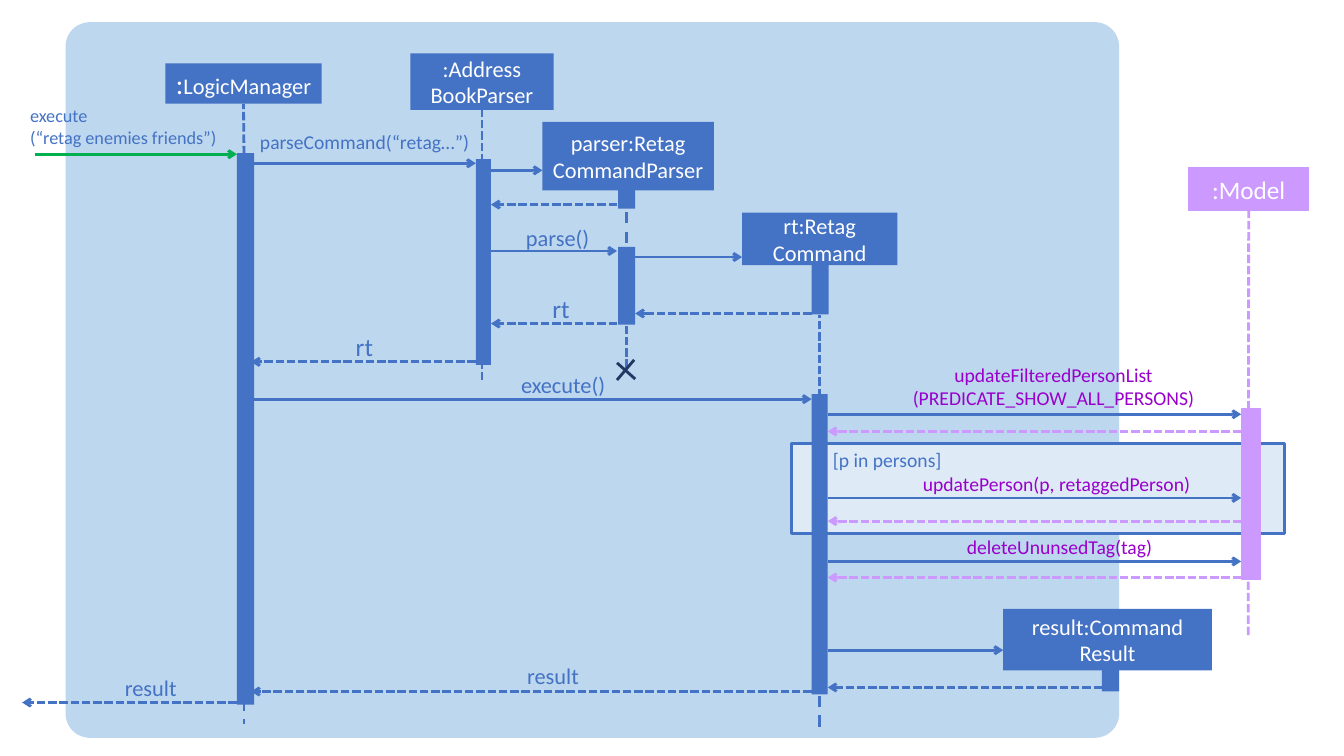
from lxml.etree import SubElement
from pptx import Presentation
from pptx.dml.color import RGBColor
from pptx.enum.dml import MSO_LINE
from pptx.enum.shapes import MSO_CONNECTOR, MSO_SHAPE
from pptx.enum.text import MSO_ANCHOR, MSO_AUTO_SIZE, PP_ALIGN
from pptx.oxml.ns import qn
from pptx.util import Inches, Pt

BLUE, VIOLET, PURPLE = "4472C4", "CC99FF", "9900CC"
GREEN, NAVY, WHITE = "00B050", "203864", "FFFFFF"
SOLID, SHORT, LONG = MSO_LINE.SOLID, MSO_LINE.SQUARE_DOT, MSO_LINE.DASH

deck = Presentation()
deck.slide_width, deck.slide_height = Inches(13.33), Inches(7.5)
page = deck.slides.add_slide(deck.slide_layouts[6])

# Grid: lifeline columns and the right edges of their activation bars
LOGIC, PARSER, RETAG, COMMAND, MODEL = 2.42, 4.78, 6.21, 8.13, 12.38
LOGIC_EDGE, PARSER_EDGE, RETAG_EDGE, COMMAND_EDGE = 2.49, 4.87, 6.3, 8.21
PARSER_LEFT, RETAG_LEFT, COMMAND_LEFT, MODEL_LEFT = 4.72, 6.12, 8.05, 12.31


def add_block(left, top, width, height, fill, outline=None, weight=1, kind=MSO_SHAPE.RECTANGLE):
    block = page.shapes.add_shape(kind, *map(Inches, (left, top, width, height)))
    block.shadow.inherit = False
    block.fill.solid()
    block.fill.fore_color.rgb = RGBColor.from_string(fill)
    if outline:
        block.line.color.rgb = RGBColor.from_string(outline)
        block.line.width = Pt(weight)
    else:
        block.line.fill.background()
    return block


def add_stroke(start, end, color, dash=SOLID, arrow=False):
    stroke = page.shapes.add_connector(MSO_CONNECTOR.STRAIGHT, *map(Inches, start + end))
    stroke.line.color.rgb = RGBColor.from_string(color)
    stroke.line.width = Pt(2)
    stroke.line.dash_style = dash
    if arrow:
        SubElement(stroke.line._get_or_add_ln(), qn("a:tailEnd"), type="arrow")
    SubElement(stroke._element.spPr, qn("a:effectLst"))
    return stroke


# Logic component and loop frame
backdrop = add_block(0.65, 0.22, 10.45, 7.1, "BDD7EE", kind=MSO_SHAPE.ROUNDED_RECTANGLE)
backdrop.adjustments[0] = 0.034
add_block(7.85, 4.4, 4.89, 0.89, "DEEBF7", BLUE, 2.25)

# Participants
participants = {}
for name, lines, left, top, width, height, size, color in [
    ("logic", [":"], 1.64, 0.63, 1.55, 0.4, 20, BLUE),
    ("command", ["rt:Retag", "Command"], 7.36, 2.11, 1.54, 0.52, 16, BLUE),
    ("parser", [":Address", "BookParser"], 4.07, 0.53, 1.42, 0.56, 16, BLUE),
    ("result", ["result:Command", "Result"], 9.95, 6.04, 2.07, 0.61, 16, BLUE),
    ("retag", ["parser:Retag", "CommandParser"], 5.38, 1.21, 1.7, 0.68, 16, BLUE),
    ("model", [":Model"], 11.79, 1.66, 1.19, 0.43, 18, VIOLET),
]:
    box = participants[name] = add_block(left, top, width, height, color, color if name == "model" else None)
    frame = box.text_frame
    frame.text = "\n".join(lines)
    frame.vertical_anchor = MSO_ANCHOR.MIDDLE
    frame.margin_left = frame.margin_right = 0
    for para in frame.paragraphs:
        para.alignment = PP_ALIGN.CENTER
        para.font.name, para.font.size = "Calibri", Pt(size)
        para.font.color.rgb = RGBColor.from_string(WHITE)
span = participants["logic"].text_frame.paragraphs[0].add_run()
span.text = "LogicManager"
span.font.size = Pt(16)

# Lifelines; the upper end joins a participant where one sits above
for column, bottom, top, color, dash, owner in [
    (LOGIC, 1.53, 1.04, BLUE, SHORT, "logic"),
    (LOGIC, 6.94, 7.18, BLUE, LONG, None),
    (PARSER, 1.61, 1.08, BLUE, SHORT, "parser"),
    (PARSER, 3.77, 3.55, BLUE, SHORT, None),
    (RETAG, 3.65, 3.22, BLUE, SHORT, None),
    (RETAG, 2.8, 2.01, BLUE, LONG, None),
    (COMMAND, 4.05, 3.13, BLUE, SHORT, None),
    (COMMAND, 7.21, 6.81, BLUE, LONG, None),
    (MODEL, 6.3, 2.09, VIOLET, SHORT, "model"),
]:
    lifeline = add_stroke((column, bottom), (column, top), color, dash)
    if owner:
        lifeline.end_connect(participants[owner], 2)

# Activation bars
for left, top, width, height in [
    (2.35, 1.52, 0.17, 5.47),
    (4.72, 1.58, 0.15, 2.04),
    (6.13, 1.84, 0.17, 0.23),
    (6.13, 2.45, 0.17, 0.77),
    (8.05, 2.63, 0.17, 0.49),
    (8.05, 3.91, 0.16, 2.98),
    (10.93, 6.63, 0.17, 0.23),
]:
    add_block(left, top, width, height, BLUE)
add_block(12.32, 4.05, 0.18, 1.7, VIOLET, VIOLET)

# Calls
for start, end, row, color in [
    (0.35, 2.35, 1.53, GREEN),
    (LOGIC_EDGE, PARSER_LEFT, 1.62, BLUE),
    (PARSER_EDGE, 5.38, 1.69, BLUE),
    (PARSER_EDGE, RETAG_LEFT, 2.49, BLUE),
    (RETAG_EDGE, 7.36, 2.55, BLUE),
    (LOGIC_EDGE, COMMAND_LEFT, 3.96, BLUE),
    (COMMAND_EDGE, MODEL_LEFT, 4.11, BLUE),
    (COMMAND_EDGE, MODEL_LEFT, 4.94, BLUE),
    (COMMAND_EDGE, MODEL_LEFT, 5.57, BLUE),
    (COMMAND_EDGE, 9.95, 6.45, BLUE),
]:
    add_stroke((start, row), (end, row), color, arrow=True)

# Returns
for start, end, row, color in [
    (RETAG_LEFT, PARSER_EDGE, 2.03, BLUE),
    (COMMAND_LEFT, RETAG_EDGE, 3.11, BLUE),
    (RETAG_LEFT, PARSER_EDGE, 3.21, BLUE),
    (PARSER_LEFT, LOGIC_EDGE, 3.59, BLUE),
    (MODEL_LEFT, COMMAND_EDGE, 4.28, VIOLET),
    (MODEL_LEFT, COMMAND_EDGE, 5.17, VIOLET),
    (MODEL_LEFT, COMMAND_EDGE, 5.73, VIOLET),
    (10.93, COMMAND_EDGE, 6.82, BLUE),
    (COMMAND_LEFT, LOGIC_EDGE, 6.86, BLUE),
    (2.35, 0.22, 6.97, BLUE),
]:
    add_stroke((start, row), (end, row), color, SHORT, arrow=True)

# Destruction cross
add_stroke((6.12, 3.6), (6.3, 3.76), NAVY)
add_stroke((6.29, 3.57), (6.12, 3.77), NAVY)

# Message labels
LEFT, CENTER = PP_ALIGN.LEFT, PP_ALIGN.CENTER
for text, left, top, width, height, size, color, align in [
    ("execute\n(“retag enemies friends”)", 0.2, 0.99, 2.15, 0.54, 13, BLUE, LEFT),
    ("parseCommand(“retag…”)", 2.48, 1.24, 2.51, 0.34, 14, BLUE, LEFT),
    ("parse()", 5.07, 2.17, 0.92, 0.37, 16, BLUE, CENTER),
    ("rt", 5.38, 2.86, 0.39, 0.4, 18, BLUE, LEFT),
    ("rt", 3.43, 3.24, 0.39, 0.4, 18, BLUE, LEFT),
    ("execute()", 4.4, 3.63, 2.37, 0.37, 16, BLUE, CENTER),
    ("updateFilteredPersonList\n(PREDICATE_SHOW_ALL_PERSONS)", 8.57, 3.55, 3.76, 0.57, 14, PURPLE, CENTER),
    ("[p in persons]", 7.74, 4.39, 2.12, 0.34, 14, BLUE, None),
    ("updatePerson(p, retaggedPerson)", 8.6, 4.63, 3.76, 0.34, 14, PURPLE, CENTER),
    ("deleteUnunsedTag(tag)", 8.63, 5.26, 3.76, 0.34, 14, PURPLE, CENTER),
    ("result", 4.3, 6.52, 2.37, 0.37, 16, BLUE, CENTER),
    ("result", 1.09, 6.64, 0.81, 0.37, 16, BLUE, CENTER),
]:
    label = page.shapes.add_textbox(*map(Inches, (left, top, width, height)))
    frame = label.text_frame
    frame.word_wrap = True
    frame.auto_size = MSO_AUTO_SIZE.SHAPE_TO_FIT_TEXT
    frame.text = text
    for para in frame.paragraphs:
        para.alignment = align or CENTER
        para.font.name, para.font.size = "Calibri", Pt(size)
        para.font.color.rgb = RGBColor.from_string(color)

deck.save("out.pptx")
